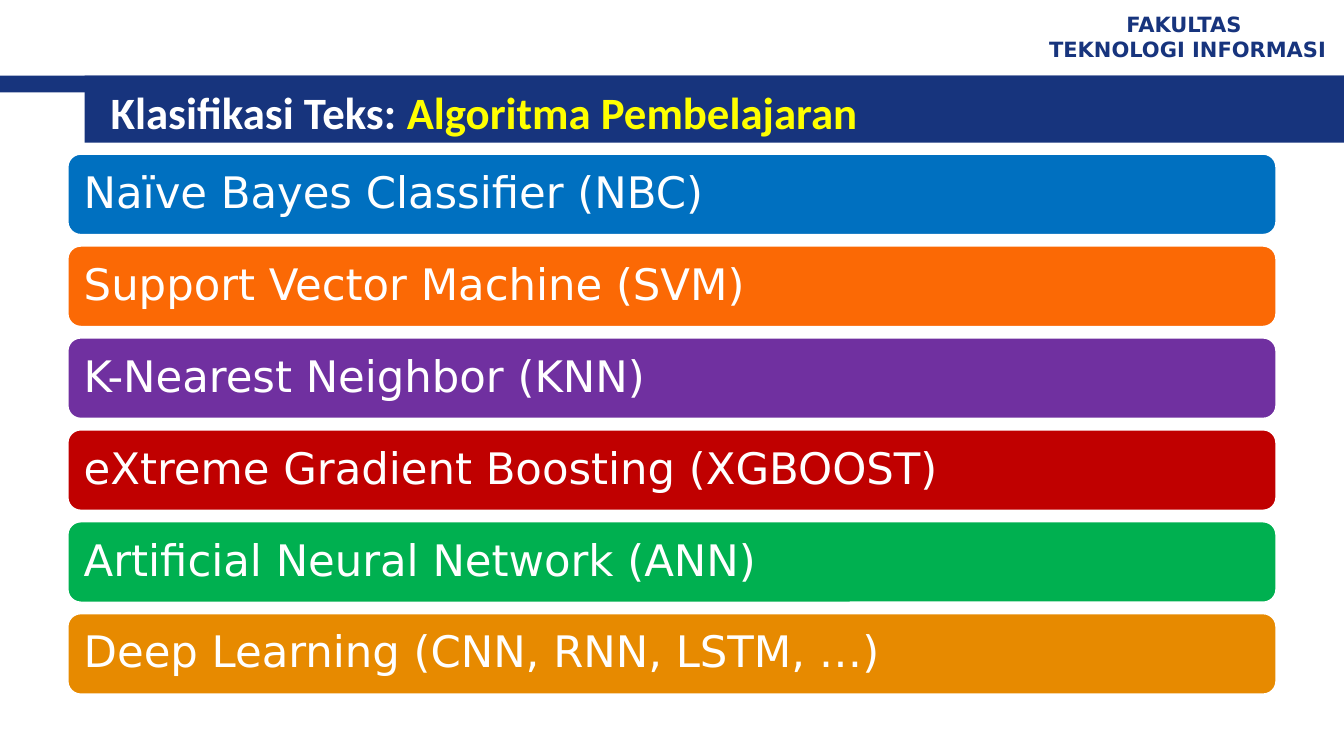
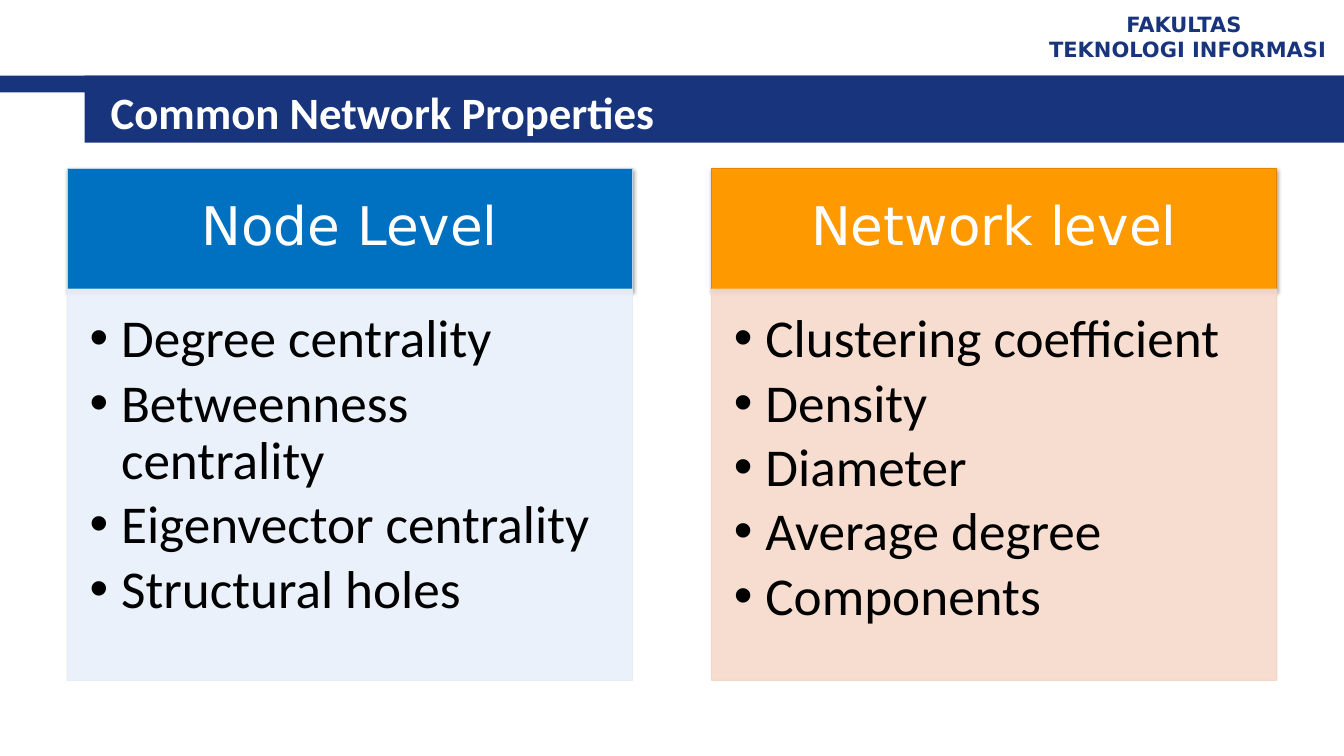
import dataclasses

import pptx
import pptx.dml.color
import pptx.enum.shapes
import pptx.enum.text
import pptx.oxml
import pptx.oxml.ns
import pptx.util

Pt = pptx.util.Pt
SHAPE = pptx.enum.shapes.MSO_SHAPE
ALIGN = pptx.enum.text.PP_ALIGN
ANCHOR = pptx.enum.text.MSO_ANCHOR
NS = pptx.oxml.ns.nsdecls("a")


@dataclasses.dataclass(frozen=True)
class Theme:
    navy: str = "17347D"
    white: str = "FFFFFF"
    black: str = "000000"
    yellow: str = "FFFF00"
    blue: str = "0070C0"
    head: str = "Calibri"
    sans: str = "DejaVu Sans"
    brand_size: float = 15
    title_size: float = 32
    bar_size: float = 31
    card_size: float = 38


THEME = Theme()
WIDTH, HEIGHT = 960, 540
LEFT, SPAN = 48, 864

BARS = [
    ("Naïve Bayes Classifier (NBC)", THEME.blue),
    ("Support Vector Machine (SVM)", "FB6905"),
    ("K-Nearest Neighbor (KNN)", "7030A0"),
    ("eXtreme Gradient Boosting (XGBOOST)", "C00000"),
    ("Artificial Neural Network (ANN)", "00B050"),
    ("Deep Learning (CNN, RNN, LSTM, …)", "E78A00"),
]

# Each card: heading, (fill, edge) of its head, (fill, edge) of its body, items
CARDS = [
    ("Node Level", (THEME.blue, "B8D3ED"), ("E8F0FA", "E2EBF5"),
     ["Degree centrality", "Betweenness centrality",
      "Eigenvector centrality", "Structural holes"]),
    ("Network level", ("FF9900", "E28700"), ("F6DACB", "F2D5C5"),
     ["Clustering coefficient", "Density", "Diameter",
      "Average degree", "Components"]),
]


def rgb(code):
    return pptx.dml.color.RGBColor.from_string(code)


def add_box(slide, kind, area, fill, edge=None, weight=0.75):
    box = slide.shapes.add_shape(kind, *map(Pt, area))
    box.shadow.inherit = False
    box.fill.solid()
    box.fill.fore_color.rgb = rgb(fill)
    if edge:
        box.line.color.rgb = rgb(edge)
        box.line.width = Pt(weight)
    else:
        box.line.fill.background()
    return box


def set_frame(shape, insets, anchor=ANCHOR.MIDDLE):
    """Set wrapping, anchor and insets (left, top, right, bottom)."""
    frame = shape.text_frame
    frame.word_wrap = True
    frame.vertical_anchor = anchor
    (frame.margin_left, frame.margin_top,
     frame.margin_right, frame.margin_bottom) = map(Pt, insets)
    return frame


def write(frame, lines, face, size, color, align=ALIGN.LEFT,
          bold=False, pitch=None):
    """Write one paragraph a line; a line is a list of (text, color) or text."""
    for at, line in enumerate(lines):
        para = frame.add_paragraph() if at else frame.paragraphs[0]
        para.alignment = align
        para.line_spacing = pitch
        font = para.font
        font.name, font.size, font.bold = face, Pt(size), bold
        font.color.rgb = rgb(color)
        parts = [(line, color)] if isinstance(line, str) else line
        for text, tint in parts:
            run = para.add_run()
            run.text = text
            if tint != color:
                run.font.color.rgb = rgb(tint)


def add_text(slide, area, lines, *style, **more):
    box = slide.shapes.add_textbox(*map(Pt, area))
    write(set_frame(box, (7.2, 3.6, 7.2, 3.6)), lines, *style, **more)


def add_bullet(para, indent):
    props = para._p.get_or_add_pPr()
    props.set("marL", str(Pt(indent)))
    props.set("indent", str(-Pt(indent)))
    for tag in ('a:buFont %s typeface="Arial"', 'a:buChar %s char="•"'):
        props.insert_element_before(
            pptx.oxml.parse_xml(f"<{tag % NS}/>"), "a:tabLst", "a:defRPr")


def fade(shape, percent):
    """Give the fill and the line of a shape the same opacity."""
    for color in shape._element.spPr.iter(pptx.oxml.ns.qn("a:srgbClr")):
        color.append(pptx.oxml.parse_xml(
            f'<a:alpha {NS} val="{percent * 1000}"/>'))


def add_shade(shape):
    effects = shape._element.spPr.find(pptx.oxml.ns.qn("a:effectLst"))
    effects.append(pptx.oxml.parse_xml(
        f'<a:outerShdw {NS} blurRad="{Pt(3.1)}" dist="{Pt(1.8)}" '
        'dir="5400000" algn="t" rotWithShape="0">'
        f'<a:srgbClr val="{THEME.black}"><a:alpha val="35000"/></a:srgbClr>'
        '</a:outerShdw>'))


def add_page(deck, title):
    """Add a slide with the shared bands, faculty name and title."""
    slide = deck.slides.add_slide(deck.slide_layouts[6])
    for left, height in ((0, 12), (60.4, 48)):
        add_box(slide, SHAPE.RECTANGLE, (left, 54, WIDTH - left, height),
                THEME.navy)
    add_text(slide, (736.6, 3.6, 223.4, 44.6),
             ["FAKULTAS ", "TEKNOLOGI INFORMASI"], THEME.sans,
             THEME.brand_size, THEME.navy, align=ALIGN.CENTER, bold=True)
    add_text(slide, (72, 57.6, 856, 44.6), [title], THEME.head,
             THEME.title_size, THEME.white, bold=True)
    return slide


def add_bars(slide, bars):
    top, height, gap = 109.6, 58.5, 7.15
    for row, (text, fill) in enumerate(bars):
        area = (LEFT, top + row * (height + gap), SPAN, height)
        bar = add_box(slide, SHAPE.ROUNDED_RECTANGLE, area, fill,
                      THEME.white, 2)
        write(set_frame(bar, (9, 9, 9, 9)), [text], THEME.sans,
              THEME.bar_size, THEME.white, pitch=0.9)


def add_card(slide, left, width, card):
    title, top_look, body_look, items = card
    top, split, end = 120.2, 206.6, 486
    head = add_box(slide, SHAPE.RECTANGLE, (left, top, width, split - top),
                   *top_look)
    add_shade(head)
    write(set_frame(head, (21.3, 12, 21.3, 12)), [title], THEME.sans,
          THEME.card_size, THEME.white, align=ALIGN.CENTER, pitch=0.9)

    body = add_box(slide, SHAPE.RECTANGLE, (left, split, width, end - split),
                   *body_look)
    fade(body, 90)
    frame = set_frame(body, (16, 16, 21.3, 24), ANCHOR.TOP)
    write(frame, items, THEME.head, THEME.card_size, THEME.black, pitch=0.9)
    for para in frame.paragraphs:
        para.space_after = Pt(5)
        add_bullet(para, 22.5)


def add_cards(slide, cards):
    gap = 56.4
    width = (SPAN - gap * (len(cards) - 1)) / len(cards)
    for col, card in enumerate(cards):
        add_card(slide, LEFT + col * (width + gap), width, card)


def main():
    deck = pptx.Presentation()
    deck.slide_width, deck.slide_height = Pt(WIDTH), Pt(HEIGHT)
    add_bars(add_page(deck, [("Klasifikasi Teks: ", THEME.white),
                             ("Algoritma Pembelajaran", THEME.yellow)]), BARS)
    add_cards(add_page(deck, "Common Network Properties"), CARDS)
    deck.save("out.pptx")


if __name__ == "__main__":
    main()
